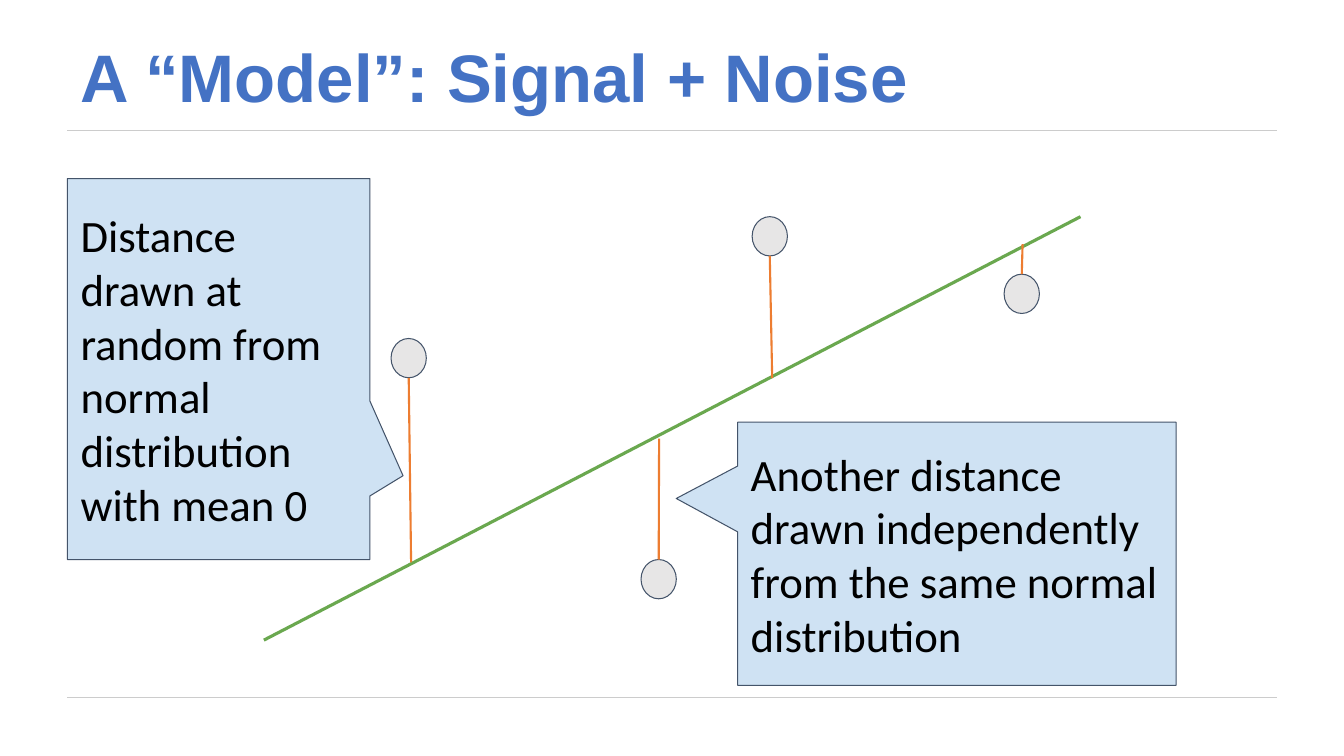
from dataclasses import dataclass

from lxml import etree
from pptx import Presentation
from pptx import util as u
from pptx.dml.color import RGBColor
from pptx.enum import shapes, text
from pptx.oxml.ns import qn


@dataclass(frozen=True)
class Theme:
    """Colours, fonts and sizes used on the slide."""
    title: str = "4472C4"
    body: str = "000000"
    rule: str = "CCCCCC"
    signal: str = "6AA84F"
    noise: str = "ED7D31"
    point: str = "E7E6E6"
    callout: str = "CFE2F3"
    outline: str = "44546A"
    title_font: str = "Arial"
    body_font: str = "Calibri"
    title_size: float = 48
    body_size: float = 32
    thin: float = 0.75
    medium: float = 1.5
    thick: float = 2.25
    inset: float = 0.33


THEME = Theme()


def apply(target, values):
    """Set every attribute of a format dict on the target."""
    for name, value in values.items():
        setattr(target, name, value)


def set_text(shape, words, font, color, anchor, spacing):
    """Write one left-aligned paragraph with the shared insets."""
    frame = shape.text_frame
    frame.text = words
    margins = {f"margin_{side}": u.Cm(THEME.inset)
               for side in ("left", "top", "right", "bottom")}
    apply(frame, {"word_wrap": True, "auto_size": text.MSO_AUTO_SIZE.NONE,
                  "vertical_anchor": anchor, **margins})
    paragraph = frame.paragraphs[0]
    apply(paragraph, {"alignment": text.PP_ALIGN.LEFT, "line_spacing": spacing})
    run_font = paragraph.runs[0].font
    apply(run_font, font)
    run_font.color.rgb = RGBColor.from_string(color)


def add_line(slide, start, end, color, width):
    """Draw a straight line without a shadow."""
    line = slide.shapes.add_connector(
        shapes.MSO_CONNECTOR.STRAIGHT, *map(u.Cm, (*start, *end)))
    line.line.color.rgb = RGBColor.from_string(color)
    line.line.width = u.Pt(width)
    etree.SubElement(line._element.spPr, qn("a:effectLst"))


def add_outlined(slide, kind, box, fill):
    """Add a filled preset shape with the thin dark outline."""
    shape = slide.shapes.add_shape(kind, *map(u.Cm, box))
    shape.shadow.inherit = False
    shape.fill.solid()
    shape.fill.fore_color.rgb = RGBColor.from_string(fill)
    shape.line.color.rgb = RGBColor.from_string(THEME.outline)
    shape.line.width = u.Pt(THEME.thin)
    return shape


def add_frame(slide, box):
    """Draw the rules along the top and bottom of the content box."""
    left, top, width, height = box
    for y in (top, top + height):
        add_line(slide, (left, y), (left + width, y), THEME.rule, THEME.thin)


def add_title(slide, box, words):
    """Move and format the title placeholder."""
    title = slide.shapes.title
    apply(title, dict(zip(("left", "top", "width", "height"), map(u.Cm, box))))
    font = {"name": THEME.title_font, "size": u.Pt(THEME.title_size), "bold": True}
    set_text(title, words, font, THEME.title, text.MSO_ANCHOR.BOTTOM, 0.9)


def add_model(slide, box, points):
    """Draw the rising signal line and points joined to it by noise stems.

    Each point is (centre x, top y, stem foot x, stem foot y) within the box.
    """
    left, top, width, height = box
    point_width, point_height = 0.89, 0.99
    add_line(slide, (left, top + height), (left + width, top),
             THEME.signal, THEME.thick)
    for x, y, _, _ in points:
        add_outlined(slide, shapes.MSO_SHAPE.OVAL,
                     (left + x - point_width / 2, top + y, point_width, point_height),
                     THEME.point)
    for x, y, foot_x, foot_y in points:
        edge = y + point_height if foot_y > y else y
        add_line(slide, (left + x, top + edge), (left + foot_x, top + foot_y),
                 THEME.noise, THEME.medium)


def add_callout(slide, box, tip, words):
    """Add a square-cornered callout; tip is its offset from the centre."""
    callout = add_outlined(
        slide, shapes.MSO_SHAPE.ROUNDED_RECTANGULAR_CALLOUT, box, THEME.callout)
    for index, value in enumerate((*tip, 0)):
        callout.adjustments[index] = value
    font = {"name": THEME.body_font, "size": u.Pt(THEME.body_size)}
    set_text(callout, words, font, THEME.body, text.MSO_ANCHOR.MIDDLE, 1.0)


def main():
    """Build and save the slide."""
    presentation = Presentation()
    apply(presentation, {"slide_width": u.Cm(33.87), "slide_height": u.Cm(19.05)})
    slide = presentation.slides.add_slide(presentation.slide_layouts[5])
    add_frame(slide, (1.7, 3.28, 30.48, 14.3))
    add_title(slide, (1.7, 0.76, 30.25, 2.51), "A “Model”: Signal + Noise")
    add_model(slide, (6.65, 5.46, 20.58, 10.67), [
        (3.65, 3.07, 3.71, 8.71),
        (19.1, 1.45, 19.12, 0.69),
        (9.95, 8.64, 9.96, 5.59),
        (12.75, 0, 12.81, 4.07),
    ])
    add_callout(slide, (1.7, 4.5, 7.62, 9.6), (0.61, 0.28),
                "Distance drawn at random from normal distribution with mean 0")
    add_callout(slide, (18.59, 10.64, 11.05, 6.63), (-0.64, -0.21),
                "Another distance drawn independently from the same normal distribution")
    presentation.save("out.pptx")


main()
